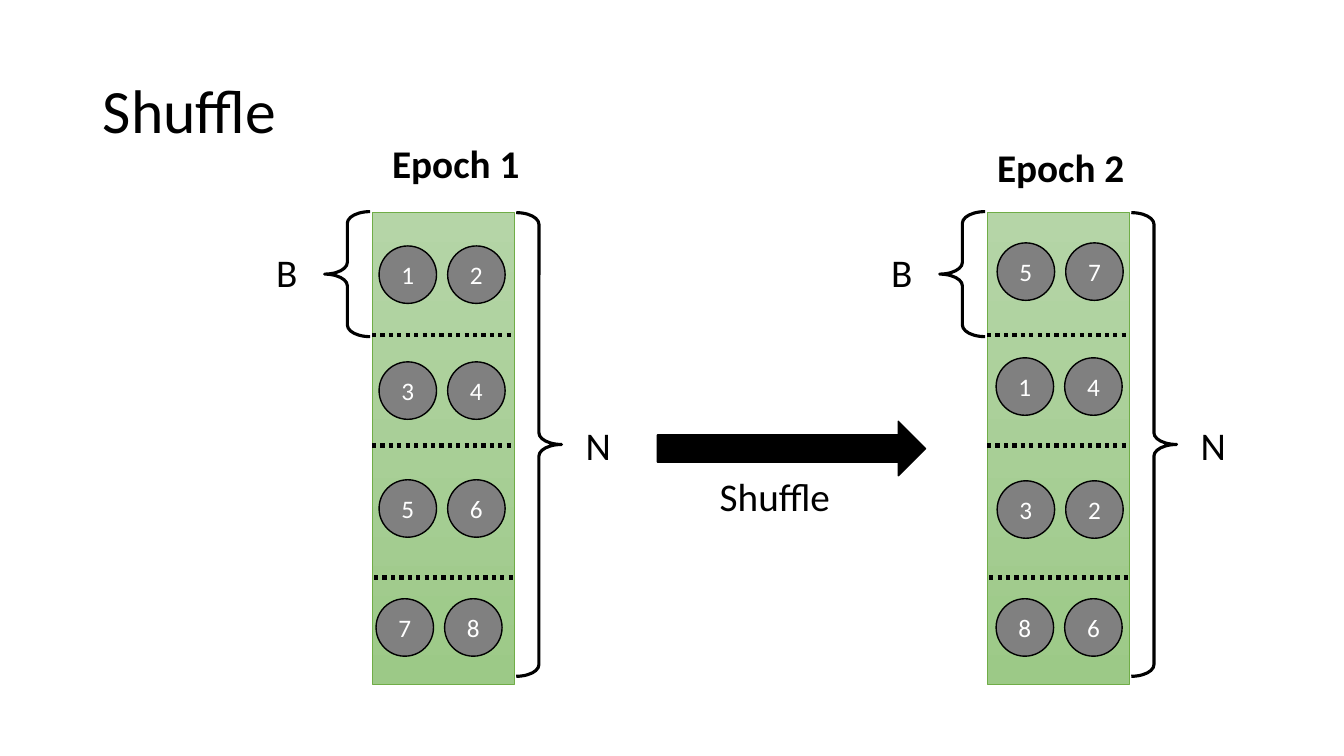
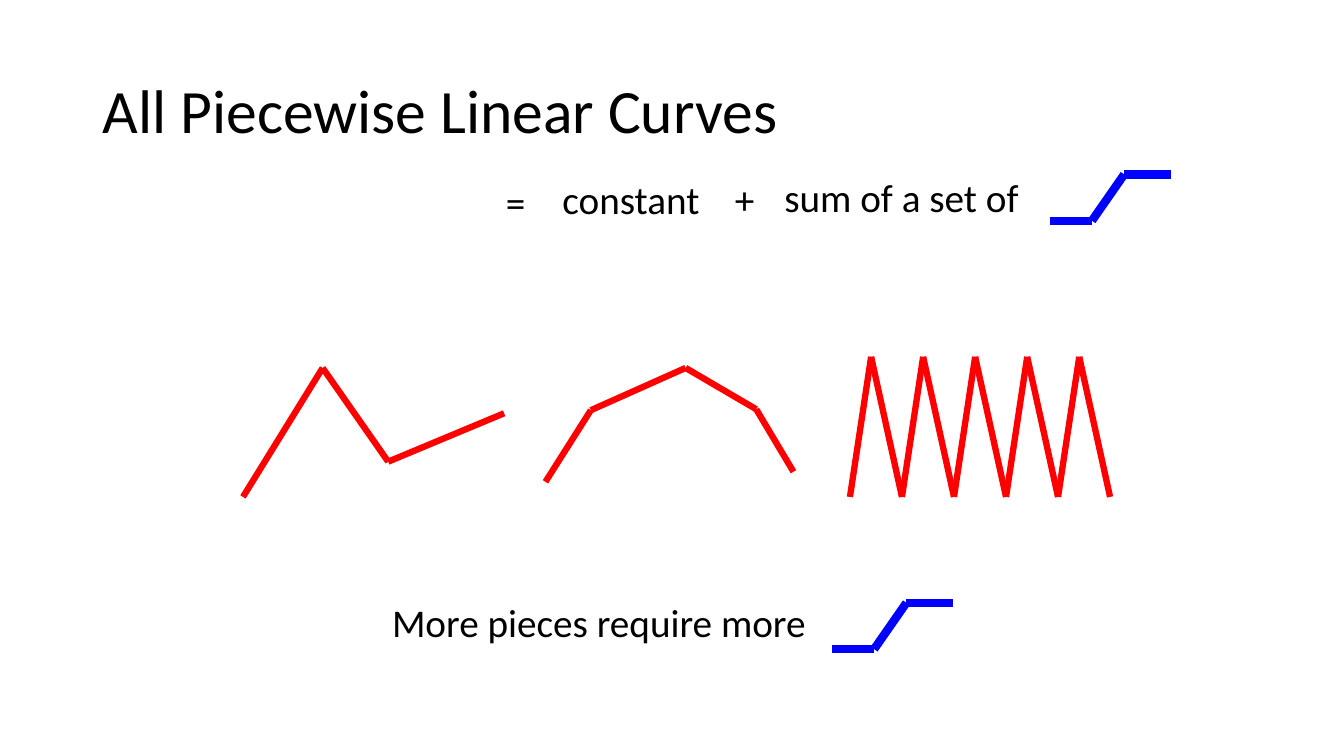
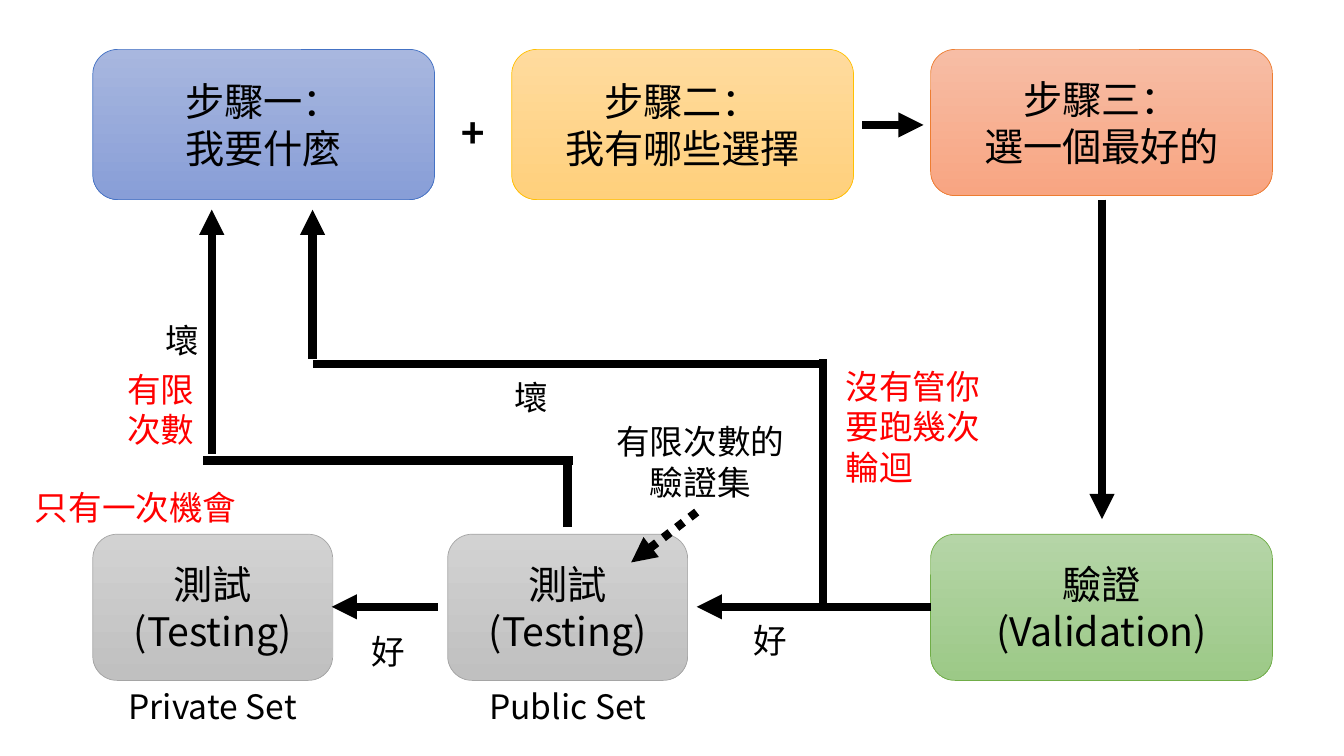
from dataclasses import dataclass
from itertools import chain, pairwise
from typing import Any

from lxml import etree
from pptx import Presentation
from pptx.dml.color import RGBColor
from pptx.enum.dml import MSO_LINE
from pptx.enum.shapes import MSO_CONNECTOR, MSO_SHAPE
from pptx.enum.text import MSO_ANCHOR, PP_ALIGN
from pptx.oxml.ns import qn
from pptx.util import Inches, Pt

LEFT, CENTER = PP_ALIGN.LEFT, PP_ALIGN.CENTER
MIDDLE, TOP = MSO_ANCHOR.MIDDLE, MSO_ANCHOR.TOP
DOTS, STRAIGHT = MSO_LINE.ROUND_DOT, MSO_CONNECTOR.STRAIGHT
RECT, CARD, BALL = MSO_SHAPE.RECTANGLE, MSO_SHAPE.ROUNDED_RECTANGLE, MSO_SHAPE.OVAL
BRACE_LEFT, BRACE_RIGHT = MSO_SHAPE.LEFT_BRACE, MSO_SHAPE.RIGHT_BRACE
BLOCK_ARROW = MSO_SHAPE.RIGHT_ARROW
TITLE_ONLY, BLANK = 5, 6
CELL = Inches(1)


@dataclass(frozen=True)
class Theme:
    """Colours, fonts and type sizes of the deck."""
    black: str = "000000"
    white: str = "FFFFFF"
    red: str = "FF0000"
    blue: str = "0000FF"
    ball: str = "808080"
    sky: tuple = ("A8B7DF", "889ED7", "4472C4")
    gold: tuple = ("FFDB9E", "FFD07C", "FFC000")
    coral: tuple = ("F7BDA5", "F8A582", "ED7D31")
    grey: tuple = ("D2D2D2", "C0C0C0", "A5A5A5")
    green: tuple = ("B5D5A7", "9CC987", "70AD47")
    latin: str = "Calibri"
    cjk: str = "Noto Sans CJK SC"
    title: int = 44
    sign: int = 32
    body: int = 28
    note: int = 24
    digit: int = 18


THEME = Theme()


def assign(target, **values):
    """Set each named attribute of the target."""
    for name, value in values.items():
        setattr(target, name, value)


def cells(*lengths):
    """Turn grid cells into slide lengths."""
    return [round(length * CELL) for length in lengths]


def write(frame, text, size=THEME.body, color=THEME.black, face=THEME.latin,
          bold=False, align=LEFT, anchor=TOP, spacing=None, tab=None):
    """Fill a text frame with one formatted paragraph per line."""
    assign(frame, word_wrap=True, vertical_anchor=anchor)
    for number, line in enumerate(text.split("\n")):
        para = frame.paragraphs[0] if number == 0 else frame.add_paragraph()
        assign(para, alignment=align, line_spacing=spacing)
        if tab:
            tabs = etree.SubElement(para._p.get_or_add_pPr(), qn("a:tabLst"))
            etree.SubElement(tabs, qn("a:tab"), pos=str(cells(tab)[0]), algn="l")
        span = para.add_run()
        span.text = line
        assign(span.font, size=Pt(size), bold=bold, name=face)
        span.font.color.rgb = RGBColor.from_string(color)
        etree.SubElement(span.font._element, qn("a:ea"), typeface=face)


@dataclass
class Region:
    """Part of a page whose contents are placed from its top left corner."""
    page: Any
    left: float = 0
    top: float = 0

    def area(self, x, y, width, height):
        """Return slide lengths for a box of grid cells."""
        return cells(self.left + x, self.top + y, width, height)

    def text(self, box, text, **style):
        """Add a text box."""
        write(self.page.shapes.add_textbox(*self.area(*box)).text_frame, text, **style)

    def shape(self, kind, box, fill=None, outline=THEME.black, weight=1.0):
        """Add a preset shape with no, plain or graded fill."""
        shape = self.page.shapes.add_shape(kind, *self.area(*box))
        shape.shadow.inherit = False
        if fill is None:
            shape.fill.background()
        elif isinstance(fill, str):
            shape.fill.solid()
            shape.fill.fore_color.rgb = RGBColor.from_string(fill)
        else:
            *shades, outline = fill
            weight = 0.5
            shape.fill.gradient()
            shape.fill.gradient_angle = 270
            for stop, shade, place in zip(shape.fill.gradient_stops, shades, (0, 1)):
                stop.color.rgb = RGBColor.from_string(shade)
                stop.position = place
        shape.line.color.rgb = RGBColor.from_string(outline)
        shape.line.width = Pt(weight)
        return shape

    def line(self, start, end, color=THEME.black, weight=6.0, dash=None, arrow=False):
        """Add a straight line, with an arrowhead at its end if asked."""
        ends = cells(self.left + start[0], self.top + start[1],
                     self.left + end[0], self.top + end[1])
        link = self.page.shapes.add_connector(STRAIGHT, *ends)
        link.line.color.rgb = RGBColor.from_string(color)
        assign(link.line, width=Pt(weight), dash_style=dash)
        outline = link.element.spPr
        if arrow:
            etree.SubElement(outline.find(qn("a:ln")), qn("a:tailEnd"), type="triangle")
        etree.SubElement(outline, qn("a:effectLst"))

    def path_line(self, points, **style):
        """Join points by straight lines."""
        for start, end in pairwise(points):
            self.line(start, end, **style)

    def card(self, box, text, shades):
        """Add a rounded card with centred text."""
        frame = self.shape(CARD, box, shades).text_frame
        write(frame, text, face=THEME.cjk, align=CENTER, anchor=MIDDLE)


def titled_page(deck, title):
    """Add a page with the shared title style."""
    page = deck.slides.add_slide(deck.slide_layouts[TITLE_ONLY])
    holder = page.shapes.title
    left, top, width, height = cells(0.92, 0.4, 11.5, 1.45)
    assign(holder, left=left, top=top, width=width, height=height)
    write(holder.text_frame, title, size=THEME.title, anchor=MIDDLE, spacing=0.9)
    return page


def epoch(region, name, name_spot, batches):
    """Draw one pass over the data as a column of batches."""
    width, ball, pitch = 1.41, 0.57, 0.68
    region.shape(RECT, (0, 0, width, 4.68), THEME.green)
    for kind, box in ((BRACE_RIGHT, (1.43, 0, 0.45, 4.6)),
                      (BRACE_LEFT, (-0.47, -0.01, 0.45, 1.24))):
        region.shape(kind, box, weight=2.25).adjustments[0] = 0.257
    region.text((2.02, 2.02, 0.95, 0.57), "N")
    region.text((-1.05, 0.3, 0.49, 0.57), "B")
    region.text((*name_spot, 1.55, 0.57), name, bold=True)
    for x, y in ((0, 1.21), (0, 2.31), (0.02, 3.62)):
        region.line((x, y), (x + width, y), weight=3, dash=DOTS)
    for x, y, digits in batches:
        for place, digit in enumerate(digits):
            shape = region.shape(BALL, (x + place * pitch, y, ball, ball), THEME.ball)
            write(shape.text_frame, digit, size=THEME.digit, color=THEME.white,
                  align=CENTER, anchor=MIDDLE)


def shuffle_page(deck):
    """Show the batches before and after a shuffle."""
    page = titled_page(deck, "Shuffle")
    epoch(Region(page, 3.69, 2.11), "Epoch 1", (0.1, -0.78),
          ((0.07, 0.33, "12"), (0.07, 1.48, "34"), (0.07, 2.65, "56"), (0.04, 3.83, "78")))
    epoch(Region(page, 9.79, 2.11), "Epoch 2", (0, -0.74),
          ((0.1, 0.3, "57"), (0.09, 1.44, "14"), (0.1, 2.66, "32"), (0.09, 3.83, "86")))
    middle = Region(page, 6.52, 4.18)
    middle.shape(BLOCK_ARROW, (0, 0, 2.66, 0.54), THEME.black)
    middle.text((0, 0.46, 2.33, 0.57), "Shuffle", align=CENTER)


def step_curve(region):
    """Draw a flat, rising, flat curve."""
    region.path_line(((0, 0.46), (0.42, 0.46), (0.74, 0), (1.2, 0)), color=THEME.blue)


def red_curves(region):
    """Draw three piecewise linear curves side by side."""
    period, rise, bottom = 0.516, 0.21, 1.4
    teeth = chain.from_iterable(
        ((6.02 + period * n, bottom), (6.02 + period * n + rise, 0.01)) for n in range(5))
    for points in (
            ((0, 1.4), (0.79, 0.12), (1.44, 1.05), (2.59, 0.57)),
            ((3, 1.25), (3.45, 0.54), (4.39, 0.12), (5.09, 0.53), (5.46, 1.15)),
            (*teeth, (6.02 + period * 5, bottom))):
        region.path_line(points, color=THEME.red, weight=4.5)


def curves_page(deck):
    """Show curves as a constant plus a sum of steps."""
    page = titled_page(deck, "All Piecewise Linear Curves")
    formula = Region(page, 4.92, 1.67)
    formula.text((0, 0.05, 0.5, 0.57), "=")
    formula.text((0.56, 0.02, 2.61, 0.57), "constant\t+", tab=1.71)
    formula.text((2.76, 0, 2.61, 0.57), "sum of a set of")
    step_curve(Region(page, 10.41, 1.73))
    red_curves(Region(page, 2.41, 3.53))
    Region(page).text((3.79, 5.89, 4.44, 0.57), "More pieces require more")
    step_curve(Region(page, 8.25, 5.98))


def step_row(region):
    """Draw the three steps and the signs between them."""
    steps = (("步驟一：\n我要什麼", THEME.sky, 1.49),
             ("步驟二：\n我有哪些選擇", THEME.gold, 1.49),
             ("步驟三：\n選一個最好的", THEME.coral, 1.45))
    for column, (text, shades, height) in enumerate(steps):
        region.card((column * 4.155, 0, 3.39, height), text, shades)
    region.text((3.31, 0.48, 0.92, 0.64), "+", size=THEME.sign, bold=True, align=CENTER)
    region.line((7.63, 0.75), (8.24, 0.75), arrow=True)


def check_row(region):
    """Draw the validation and testing cards with their captions."""
    for x, name in ((0, "Private Set"), (3.52, "Public Set")):
        region.card((x, 0, 2.38, 1.45), "測試 (Testing)", THEME.grey)
        region.text((x + 0.14, 1.46, 2.1, 0.5), name, size=THEME.note,
                    face=THEME.cjk, align=CENTER)
    region.card((8.31, 0, 3.39, 1.45), "驗證\n(Validation)", THEME.green)
    for start, end in ((3.42, 2.37), (8.31, 5.99)):
        region.line((start, 0.72), (end, 0.72), arrow=True)


def loops(region):
    """Draw the ways down to validation and back to the first step."""
    for start, end in (((10.93, 0), (10.93, 3.17)),
                       ((3.1, 1.58), (3.1, 0.1)),
                       ((2.1, 2.52), (2.1, 0.1))):
        region.line(start, end, arrow=True)
    for start, end in (((8.2, 1.63), (3.1, 1.63)), ((8.16, 4.06), (8.16, 1.58)),
                       ((5.68, 2.59), (2.01, 2.59)), ((5.63, 3.25), (5.63, 2.59))):
        region.line(start, end)
    region.line((6.91, 3.1), (6.26, 3.6), dash=DOTS, arrow=True)


def loop_notes(region):
    """Write the notes beside the loops."""
    for box, text, color, align in (
            ((7.38, 4.12, 1.64, 0.5), "好", THEME.black, LEFT),
            ((3.59, 4.23, 1.64, 0.5), "好", THEME.black, LEFT),
            ((5, 1.71, 1.64, 0.5), "壞", THEME.black, LEFT),
            ((1.54, 1.14, 1.64, 0.5), "壞", THEME.black, LEFT),
            ((5.6, 2.15, 2.69, 0.91), "有限次數的\n驗證集", THEME.black, CENTER),
            ((0.25, 1.63, 2.69, 0.91), "有限\n次數", THEME.red, CENTER),
            ((8.29, 1.6, 1.64, 1.31), "沒有管你要跑幾次輪迴", THEME.red, LEFT),
            ((0, 2.8, 2.69, 0.5), "只有一次機會", THEME.red, CENTER)):
        region.text(box, text, size=THEME.note, color=color, face=THEME.cjk, align=align)


def workflow_page(deck):
    """Show the three steps with validation and testing."""
    page = deck.slides.add_slide(deck.slide_layouts[BLANK])
    step_row(Region(page, 0.92, 0.49))
    check_row(Region(page, 0.92, 5.3))
    loops(Region(page, 0, 1.98))
    loop_notes(Region(page, 0, 1.98))


def main():
    """Build and save the deck."""
    deck = Presentation()
    width, height = cells(13.33, 7.5)
    assign(deck, slide_width=width, slide_height=height)
    for build in (shuffle_page, curves_page, workflow_page):
        build(deck)
    deck.save("out.pptx")


if __name__ == "__main__":
    main()
